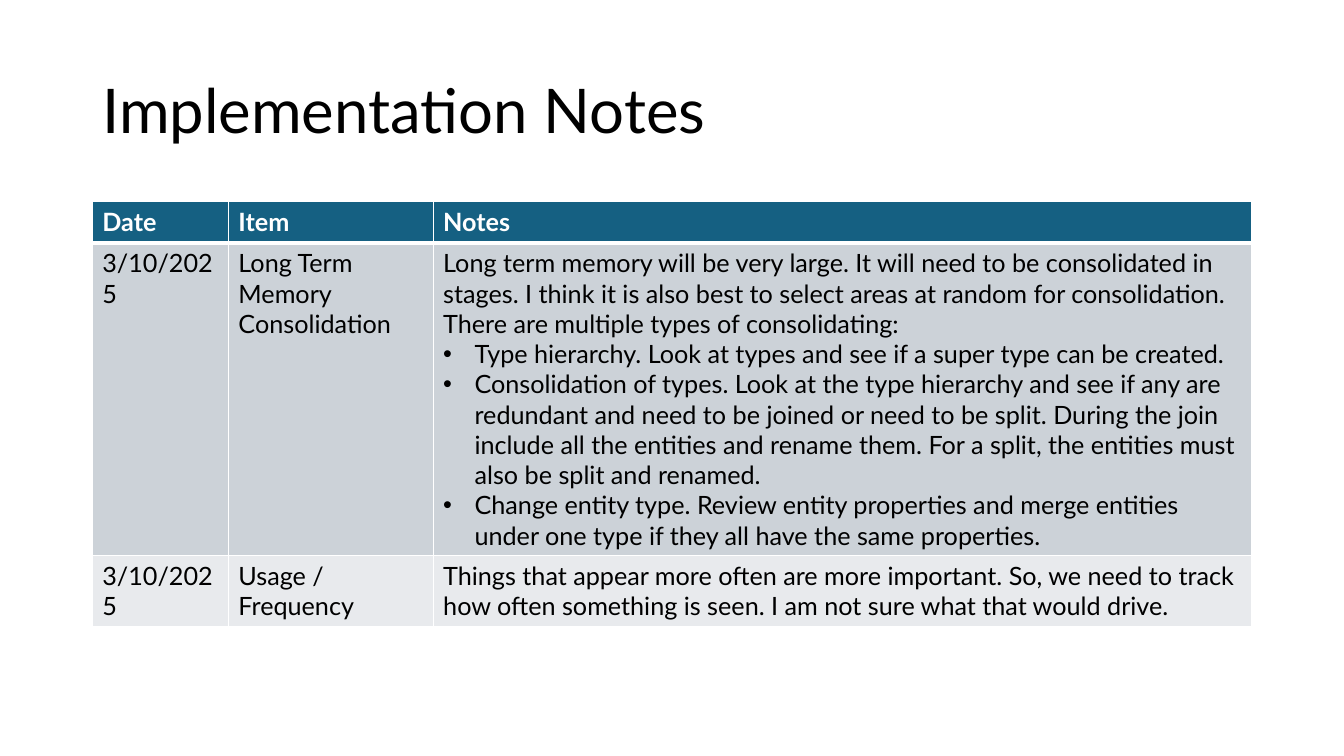
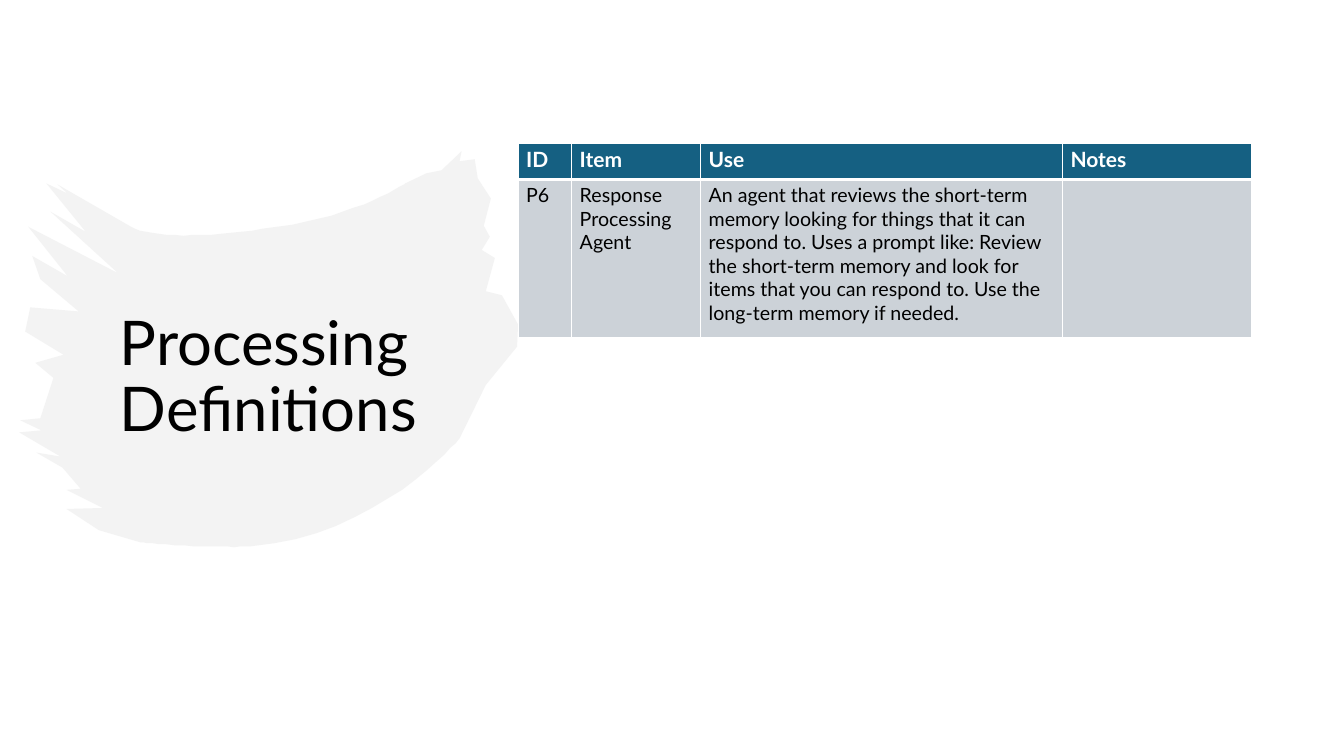
from dataclasses import dataclass

from lxml.etree import SubElement
from pptx import Presentation
from pptx.dml.color import RGBColor
from pptx.enum.text import MSO_ANCHOR
from pptx.oxml.ns import qn
from pptx.slide import Slide
from pptx.table import _Cell
from pptx.text.text import TextFrame, _Paragraph
from pptx.util import Cm, Length, Pt


@dataclass(frozen=True)
class Theme:
    font: str = "Lato"
    text: str = "000000"
    header_text: str = "FFFFFF"
    header_fill: str = "156082"
    bands: tuple[str, ...] = ("CCD2D8", "E8EAED")
    border: str = "FFFFFF"
    brush: str = "E8E8E8"
    brush_opacity: int = 50
    title_size: int = 44
    thin: int = 1
    thick: int = 3


@dataclass(frozen=True)
class Box:
    left: float
    top: float
    width: float
    height: float

    def lengths(self) -> tuple[Length, ...]:
        return Cm(self.left), Cm(self.top), Cm(self.width), Cm(self.height)


@dataclass(frozen=True)
class Para:
    text: str
    bullet: bool = False


@dataclass(frozen=True)
class TableSpec:
    """A table's place in cm, its type sizes and its rows, the header first."""
    left: float
    top: float
    widths: tuple[float, ...]
    heights: tuple[float, ...]
    header_size: int
    body_size: int
    margin_x: float
    margin_y: float
    rows: tuple[tuple[tuple[Para, ...], ...], ...]


THEME = Theme()
BULLET_INDENT = Cm(0.79)

IMPLEMENTATION = TableSpec(
    left=2.33, top=5.08,
    widths=(3.43, 5.16, 20.62), heights=(1.04, 7.85, 1.8),
    header_size=18, body_size=18, margin_x=0.25, margin_y=0.13,
    rows=(
        ((Para("Date"),), (Para("Item"),), (Para("Notes"),)),
        (
            (Para("3/10/2025"),),
            (Para("Long Term Memory Consolidation"),),
            (
                Para("Long term memory will be very large. It will need to be consolidated in "
                     "stages. I think it is also best to select areas at random for "
                     "consolidation. There are multiple types of consolidating:"),
                Para("Type hierarchy. Look at types and see if a super type can be created.",
                     bullet=True),
                Para("Consolidation of types. Look at the type hierarchy and see if any are "
                     "redundant and need to be joined or need to be split. During the join "
                     "include all the entities and rename them. For a split, the entities must "
                     "also be split and renamed.", bullet=True),
                Para("Change entity type. Review entity properties and merge entities under "
                     "one type if they all have the same properties.", bullet=True),
            ),
        ),
        (
            (Para("3/10/2025"),),
            (Para("Usage / Frequency"),),
            (Para("Things that appear more often are more important. So, we need to track how "
                  "often something is seen. I am not sure what that would drive."),),
        ),
    ),
)

PROCESSING = TableSpec(
    left=13.06, top=3.61,
    widths=(1.35, 3.25, 9.12, 4.75), heights=(0.91, 3.99),
    header_size=15, body_size=14, margin_x=0.2, margin_y=0.1,
    rows=(
        ((Para("ID"),), (Para("Item"),), (Para("Use"),), (Para("Notes"),)),
        (
            (Para("P6"),),
            (Para("Response Processing Agent"),),
            (Para("An agent that reviews the short-term memory looking for things that it can "
                  "respond to. Uses a prompt like: Review the short-term memory and look for "
                  "items that you can respond to. Use the long-term memory if needed."),),
            (),
        ),
    ),
)

# Brush outline on a grid of 100 units per 2.54 cm.
# Two numbers are a corner, six are the controls and end of a cubic curve.
BRUSH_UNIT = Cm(2.54) / 100
BRUSH_START = (458, 150)
BRUSH_OUTLINE: tuple[tuple[int, ...], ...] = (
    # ragged right edge
    (456, 160), (471, 158), (474, 177), (487, 197), (480, 224), (486, 235), (478, 248),
    (491, 256), (482, 289), (498, 293), (514, 322), (513, 344), (482, 382), (456, 435),
    # smooth lower edge
    (456, 436, 372, 533, 249, 542), (229, 544, 150, 540, 139, 538),
    # ragged left edge, going up
    (98, 526), (66, 505), (102, 504), (66, 486), (80, 485), (62, 464), (36, 449), (60, 453),
    (19, 429), (41, 427), (20, 417), (40, 415), (53, 375), (35, 360), (63, 352), (25, 329),
    (30, 305), (78, 309), (40, 277), (32, 254), (67, 274), (28, 225), (117, 271), (50, 210),
    (85, 230), (46, 182), (67, 192), (57, 183), (130, 225),
    # smooth upper edge and its tip
    (150, 236, 205, 236, 260, 227), (342, 220, 400, 184, 402, 182), (423, 172), (438, 169),
)


def style_run(p: _Paragraph, text: str, size: int, color: str, bold: bool = False) -> None:
    """Add one run in the theme font."""
    r = p.add_run()
    r.text = text
    r.font.name = THEME.font
    r.font.size = Pt(size)
    r.font.bold = bold
    r.font.color.rgb = RGBColor.from_string(color)


def add_bullet(p: _Paragraph) -> None:
    pPr = p._p.get_or_add_pPr()
    pPr.set("marL", str(BULLET_INDENT))
    pPr.set("indent", str(-BULLET_INDENT))
    SubElement(pPr, qn("a:buFont")).set("typeface", "Arial")
    SubElement(pPr, qn("a:buChar")).set("char", "•")


def add_title(s: Slide, text: str, box: Box) -> None:
    tf = s.shapes.add_textbox(*box.lengths()).text_frame
    tf.word_wrap = True
    tf.vertical_anchor = MSO_ANCHOR.MIDDLE
    p = tf.paragraphs[0]
    p.line_spacing = 0.9
    style_run(p, text, THEME.title_size, THEME.text)


def set_borders(cell: _Cell, top: int, bottom: int) -> None:
    """Draw all four borders; call before filling, as the schema puts lines first."""
    tcPr = cell._tc.get_or_add_tcPr()
    sides = {"lnL": THEME.thin, "lnR": THEME.thin, "lnT": top, "lnB": bottom}
    for side, width in sides.items():
        ln = SubElement(tcPr, qn(f"a:{side}"))
        ln.set("w", str(Pt(width)))
        fill = SubElement(ln, qn("a:solidFill"))
        SubElement(fill, qn("a:srgbClr")).set("val", THEME.border)


def fill_text(tf: TextFrame, paras: tuple[Para, ...], size: int, color: str, bold: bool) -> None:
    for i, para in enumerate(paras):
        p = tf.add_paragraph() if i else tf.paragraphs[0]
        if para.bullet:
            add_bullet(p)
        style_run(p, para.text, size, color, bold)


def add_table(s: Slide, spec: TableSpec) -> None:
    box = Box(spec.left, spec.top, sum(spec.widths), sum(spec.heights))
    table = s.shapes.add_table(len(spec.rows), len(spec.widths), *box.lengths()).table
    for column, width in zip(table.columns, spec.widths):
        column.width = Cm(width)
    for i, (row, height) in enumerate(zip(spec.rows, spec.heights)):
        table.rows[i].height = Cm(height)
        header = i == 0
        fill = THEME.header_fill if header else THEME.bands[(i - 1) % len(THEME.bands)]
        size = spec.header_size if header else spec.body_size
        color = THEME.header_text if header else THEME.text
        for j, paras in enumerate(row):
            cell = table.cell(i, j)
            cell.margin_left = cell.margin_right = Cm(spec.margin_x)
            cell.margin_top = cell.margin_bottom = Cm(spec.margin_y)
            set_borders(cell, top=THEME.thick if i == 1 else THEME.thin,
                        bottom=THEME.thick if header else THEME.thin)
            cell.fill.solid()
            cell.fill.fore_color.rgb = RGBColor.from_string(fill)
            fill_text(cell.text_frame, paras, size, color, header)


def flatten(start: tuple[int, int], outline: tuple[tuple[int, ...], ...],
            steps: int = 16) -> list[tuple[float, float]]:
    """Turn corners and cubic curves into a list of points."""
    points: list[tuple[float, float]] = [start]
    for segment in outline:
        if len(segment) == 2:
            points.append((segment[0], segment[1]))
            continue
        x0, y0 = points[-1]
        x1, y1, x2, y2, x3, y3 = segment
        for k in range(1, steps + 1):
            t = k / steps
            a, b, c, d = (1 - t) ** 3, 3 * t * (1 - t) ** 2, 3 * t * t * (1 - t), t ** 3
            points.append((a * x0 + b * x1 + c * x2 + d * x3,
                           a * y0 + b * y1 + c * y2 + d * y3))
    return points


def add_brush(s: Slide) -> None:
    builder = s.shapes.build_freeform(*BRUSH_START, scale=BRUSH_UNIT)
    builder.add_line_segments(flatten(BRUSH_START, BRUSH_OUTLINE)[1:], close=True)
    sp = builder.convert_to_shape()
    sp.shadow.inherit = False
    sp.line.fill.background()
    sp.fill.solid()
    sp.fill.fore_color.rgb = RGBColor.from_string(THEME.brush)
    color = sp._element.spPr.find(qn("a:solidFill")).find(qn("a:srgbClr"))
    SubElement(color, qn("a:alpha")).set("val", str(THEME.brush_opacity * 1000))


def main() -> None:
    prs = Presentation()
    prs.slide_width, prs.slide_height = Cm(33.87), Cm(19.05)
    blank = prs.slide_layouts[6]

    s = prs.slides.add_slide(blank)
    add_title(s, "Implementation Notes", Box(2.33, 1.01, 29.21, 3.68))
    add_table(s, IMPLEMENTATION)

    s = prs.slides.add_slide(blank)
    add_brush(s)
    add_title(s, "Processing Definitions", Box(2.77, 1.9, 9.7, 15.27))
    add_table(s, PROCESSING)

    prs.save("out.pptx")


if __name__ == "__main__":
    main()
